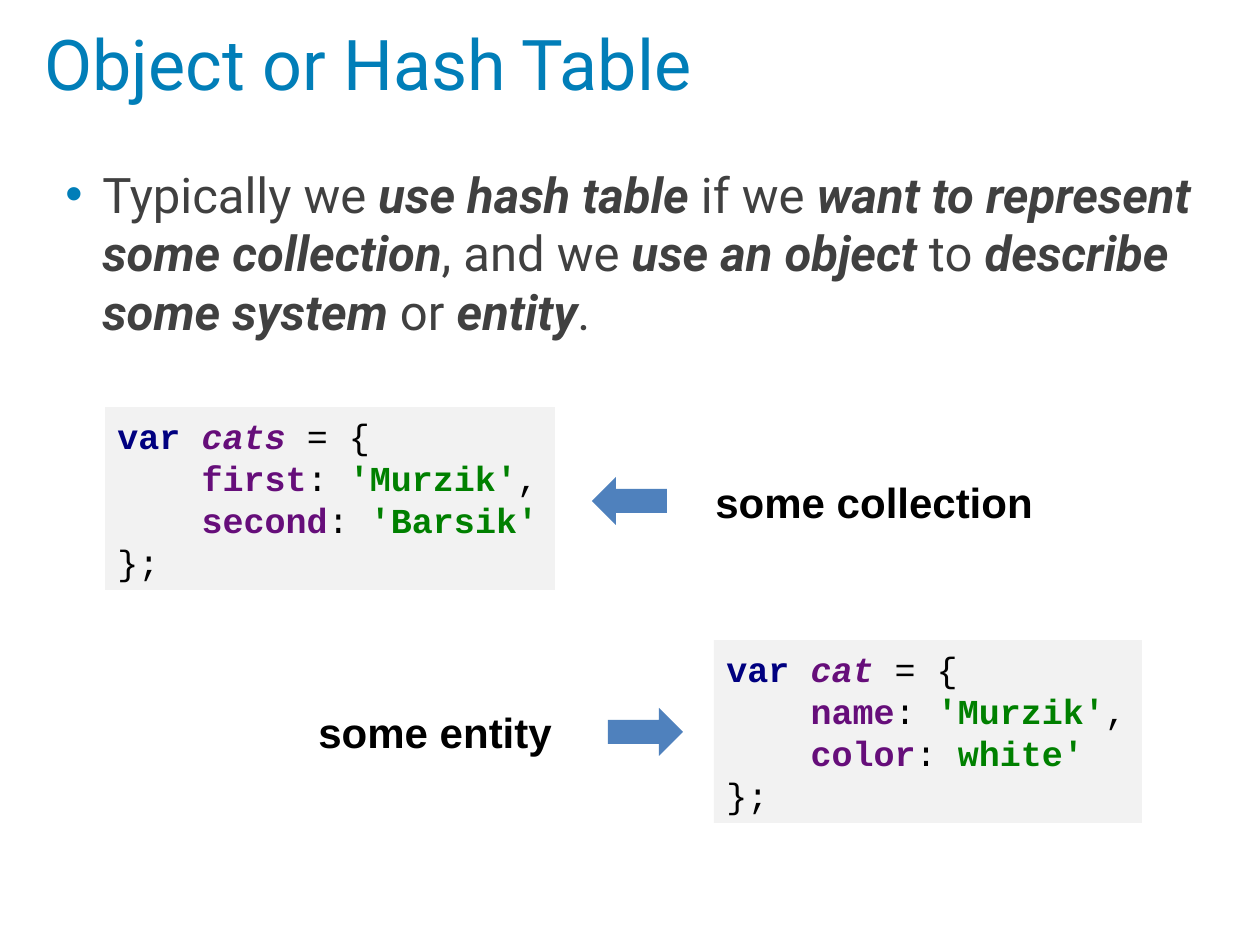
from dataclasses import dataclass

from lxml import etree
from pptx import Presentation
from pptx import util as u
from pptx.dml.color import RGBColor
from pptx.enum import shapes, text
from pptx.oxml.ns import qn

SCALE = 914400 / 126


@dataclass(frozen=True)
class Theme:
    title: str = "017EB8"
    body: str = "404040"
    black: str = "000000"
    panel: str = "F2F2F2"
    arrow: str = "4F81BD"
    keyword: str = "000080"
    name: str = "660E7A"
    string: str = "008000"
    sans: str = "Roboto"
    label: str = "Arial"
    mono: str = "Courier New"
    title_size: int = 40
    body_size: int = 28
    label_size: int = 24
    code_size: int = 20


THEME = Theme()
STRONG = {"bold": True, "italic": True}
KEYWORD = {"color": THEME.keyword, "bold": True}
VARIABLE = {"color": THEME.name, "bold": True, "italic": True}
FIELD = {"color": THEME.name, "bold": True}
STRING = {"color": THEME.string, "bold": True}


def px(value):
    return u.Emu(round(value * SCALE))


def box(*lengths):
    return [px(length) for length in lengths]


def add_text(paragraph, content, *, font, size, color, bold=False, italic=False):
    for index, line in enumerate(content.split("\n")):
        if index:
            paragraph.add_line_break()
        if line:
            run = paragraph.add_run()
            run.text = line
            run.font.name = font
            run.font.size = u.Pt(size)
            run.font.color.rgb = RGBColor.from_string(color)
            run.font.bold = bold
            run.font.italic = italic


def add_runs(paragraph, runs, **base):
    for content, style in runs:
        add_text(paragraph, content, **{**base, **style})


def add_filled(slide, preset, place, color):
    shape = slide.shapes.add_shape(preset, *box(*place))
    shape.shadow.inherit = False
    shape.fill.solid()
    shape.fill.fore_color.rgb = RGBColor.from_string(color)
    shape.line.fill.background()
    return shape


def set_title(slide, content):
    title = slide.shapes.title
    title.left, title.top, title.width, title.height = box(32, 0, 1134, 126)
    frame = title.text_frame
    frame.auto_size = text.MSO_AUTO_SIZE.NONE
    frame.vertical_anchor = text.MSO_ANCHOR.MIDDLE
    paragraph = frame.paragraphs[0]
    paragraph.alignment = text.PP_ALIGN.LEFT
    add_text(paragraph, content, font=THEME.sans, size=THEME.title_size, color=THEME.title)


def add_bullet(slide, place, runs):
    frame = slide.shapes.add_textbox(*box(*place)).text_frame
    frame.word_wrap = True
    paragraph = frame.paragraphs[0]
    properties = paragraph._p.get_or_add_pPr()
    properties.set("marL", str(px(37)))
    properties.set("indent", str(-px(37)))
    color = etree.SubElement(properties, qn("a:buClr"))
    etree.SubElement(color, qn("a:srgbClr"), val=THEME.title)
    etree.SubElement(properties, qn("a:buFont"), typeface=THEME.label)
    etree.SubElement(properties, qn("a:buChar"), char="•")
    add_runs(paragraph, runs, font=THEME.sans, size=THEME.body_size, color=THEME.body)


def add_code(slide, place, variable, fields):
    panel = add_filled(slide, shapes.MSO_SHAPE.RECTANGLE, place, THEME.panel)
    frame = panel.text_frame
    frame.word_wrap = False
    frame.vertical_anchor = text.MSO_ANCHOR.MIDDLE
    paragraph = frame.paragraphs[0]
    paragraph.alignment = text.PP_ALIGN.LEFT
    runs = [("var ", KEYWORD), (variable + " ", VARIABLE), ("= {", {})]
    separator = "\n    "
    for field, value in fields:
        runs += [(separator, {}), (field, FIELD), (": ", {}), (value, STRING)]
        separator = ",\n    "
    runs.append(("\n};", {}))
    add_runs(paragraph, runs, font=THEME.mono, size=THEME.code_size, color=THEME.black)


def add_label(slide, place, content):
    frame = slide.shapes.add_textbox(*box(*place)).text_frame
    frame.word_wrap = False
    add_text(frame.paragraphs[0], content, font=THEME.label,
             size=THEME.label_size, color=THEME.black, bold=True)


def main():
    presentation = Presentation()
    presentation.slide_width, presentation.slide_height = box(1260, 945)
    slide = presentation.slides.add_slide(presentation.slide_layouts[5])
    set_title(slide, "Object or Hash Table")
    add_bullet(slide, (53, 158, 1187, 683), [
        ("Typically we ", {}), ("use hash table", STRONG),
        (" if we ", {}), ("want to represent some collection", STRONG),
        (", and we ", {}), ("use an object", STRONG),
        (" to ", {}), ("describe some system", STRONG),
        (" or ", {}), ("entity", STRONG), (".", {}),
    ])
    add_code(slide, (105, 407, 450, 183), "cats",
             [("first", "'Murzik'"), ("second", "'Barsik'")])
    add_code(slide, (714, 640, 428, 183), "cat",
             [("name", "'Murzik'"), ("color", "white'")])
    add_label(slide, (703, 470, 345, 63), "some collection")
    add_label(slide, (306, 700, 261, 63), "some entity")
    add_filled(slide, shapes.MSO_SHAPE.LEFT_ARROW, (592, 477, 75, 48), THEME.arrow)
    add_filled(slide, shapes.MSO_SHAPE.RIGHT_ARROW, (608, 708, 75, 48), THEME.arrow)
    presentation.save("out.pptx")


if __name__ == "__main__":
    main()
